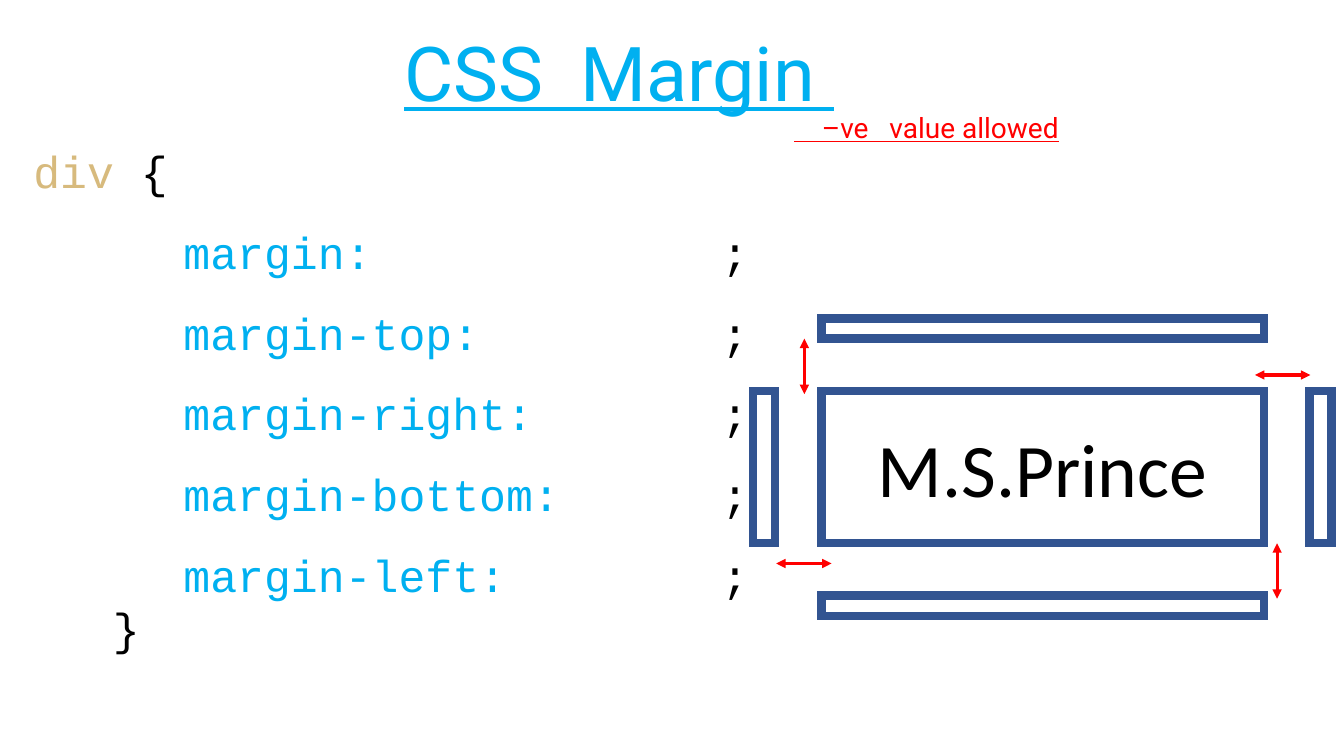
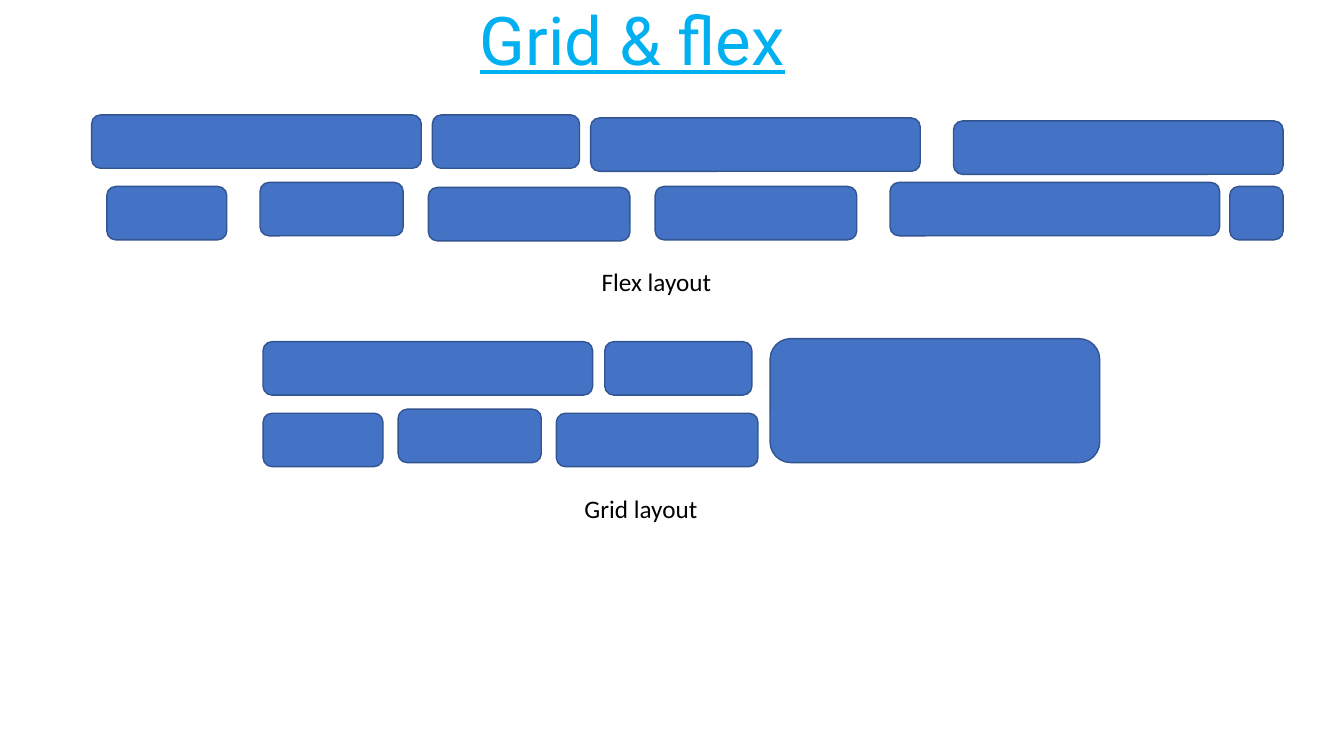
"""Build two slides about CSS margins and about grid and flex layouts."""
import typing

import lxml.etree
import pptx
import pptx.dml.color
import pptx.enum.shapes
import pptx.enum.text
import pptx.oxml.ns
import pptx.util

Inches = pptx.util.Inches
Shapes = pptx.enum.shapes.MSO_SHAPE
Align = pptx.enum.text.PP_ALIGN
Anchor = pptx.enum.text.MSO_ANCHOR

SKY, BLUE, NAVY, RED, BLACK, SAND = "00B0F0", "4472C4", "325491", "FF0000", "000000", "D7BA7D"
TITLE = {"name": "Roboto", "size": pptx.util.Pt(54), "underline": True}
SMALL_TITLE = {**TITLE, "size": pptx.util.Pt(48)}
NOTE = {**TITLE, "size": pptx.util.Pt(20)}
CODE = {"name": "Courier New", "size": pptx.util.Pt(32)}
NAME = {"name": "Calibri", "size": pptx.util.Pt(54)}
LABEL = {"name": "Calibri", "size": pptx.util.Pt(18)}
FRAME = {"word_wrap": True, "auto_size": pptx.enum.text.MSO_AUTO_SIZE.NONE,
         "vertical_anchor": Anchor.TOP}


class Area(typing.NamedTuple):
    """A rectangle on the slide, in inches."""
    left: float
    top: float
    width: float
    height: float = 0.53


class Arrow(typing.NamedTuple):
    """A double-headed arrow, in inches."""
    left: float
    top: float
    across: float = 0
    down: float = 0


class Span(typing.NamedTuple):
    """A stretch of text in one colour."""
    text: str
    color: str


class Line(typing.NamedTuple):
    """A line of code with its indent in inches."""
    spans: typing.List[Span]
    indent: float = 0
    spacing: float = 1


CONTENT = Area(8.15, 3.88, 4.39, 1.51)
SIDE, BAR = 0.22, 0.2
NEIGHBOURS = (
    CONTENT._replace(left=12.99, width=SIDE),
    CONTENT._replace(top=5.91, height=BAR),
    CONTENT._replace(top=3.16, height=BAR),
    CONTENT._replace(left=7.47, width=SIDE),
)
GAP = 0.55
ARROWS = (
    Arrow(7.98, 3.36, down=GAP),
    Arrow(7.7, 5.59, across=GAP),
    Arrow(12.45, 3.72, across=GAP),
    Arrow(12.67, 5.39, down=GAP),
)
CODE_AREA = Area(0.23, 1.38, 6.8, 5.22)
LINE_PITCH = 0.8
PROPERTIES = ("margin", "margin-top", "margin-right", "margin-bottom", "margin-left")
LONG, MEDIUM, SHORT = 3.27, 2, 1.46
FLEX = (
    Area(0.91, 1.14, LONG), Area(4.29, 1.14, SHORT),
    Area(5.86, 1.17, LONG), Area(9.46, 1.2, LONG),
    Area(1.06, 1.85, 1.19), Area(2.58, 1.81, 1.42), Area(4.25, 1.86, MEDIUM),
    Area(6.5, 1.85, MEDIUM), Area(8.83, 1.81, LONG), Area(12.2, 1.85, 0.53),
)
GRID = (
    Area(2.61, 3.39, LONG), Area(6, 3.39, SHORT), Area(7.64, 3.36, LONG, 1.23),
    Area(2.61, 4.1, 1.19), Area(3.95, 4.06, 1.42), Area(5.52, 4.1, MEDIUM),
)


def ink(color: str) -> pptx.dml.color.RGBColor:
    """Turn a hex string into a colour."""
    return pptx.dml.color.RGBColor.from_string(color)


def apply(target: typing.Any, values: dict) -> None:
    """Set every value of a format on an object."""
    for key, value in values.items():
        setattr(target, key, value)


def place(area: Area) -> list:
    """Give an area as four lengths."""
    return [Inches(value) for value in area]


def move(holder: typing.Any, area: Area) -> None:
    """Move a placeholder and format its frame."""
    apply(holder, dict(zip(("left", "top", "width", "height"), place(area))))
    apply(holder.text_frame, FRAME)


def add_xml(parent: typing.Any, tag: str, **attributes: str) -> None:
    """Append a drawing element to a parent."""
    lxml.etree.SubElement(parent, pptx.oxml.ns.qn(tag), attributes)


def find_outline(shape: typing.Any) -> typing.Any:
    """Find the outline element of a shape."""
    return shape.element.spPr.find(pptx.oxml.ns.qn("a:ln"))


def write(para: typing.Any, spans: typing.Iterable[Span], style: dict,
          align: typing.Any = Align.LEFT) -> None:
    """Write coloured spans into a paragraph."""
    apply(para, {"alignment": align, "space_before": pptx.util.Pt(0)})
    for span in spans:
        run = para.add_run()
        run.text = span.text
        apply(run.font, style)
        run.font.color.rgb = ink(span.color)


def set_indent(para: typing.Any, indent: float) -> None:
    """Remove the bullet and indent the whole paragraph."""
    properties = para._p.get_or_add_pPr()
    properties.set("marL", str(Inches(indent)))
    properties.set("indent", "0")
    add_xml(properties, "a:buNone")


def add_title(page: typing.Any, text: str, area: Area, style: dict) -> None:
    """Move and fill the title placeholder."""
    title = page.shapes.title
    move(title, area)
    write(title.text_frame.paragraphs[0], [Span(text, SKY)], style)


def add_text(page: typing.Any, span: Span, area: Area, style: dict) -> None:
    """Add a text box."""
    box = page.shapes.add_textbox(*place(area))
    apply(box.text_frame, FRAME)
    write(box.text_frame.paragraphs[0], [span], style)


def add_code(page: typing.Any) -> None:
    """Write the margin rule and its column of semicolons."""
    body = page.placeholders[1]
    move(body, CODE_AREA)
    frame = body.text_frame
    lines = [Line([Span("div ", SAND), Span("{", BLACK)])]
    lines += [Line([Span(f"{name}:", SKY)], 1.49, 1.5) for name in PROPERTIES]
    lines.append(Line([Span("}", BLACK)], 0.79))
    for index, line in enumerate(lines):
        para = frame.add_paragraph() if index else frame.paragraphs[0]
        write(para, line.spans, CODE)
        para.line_spacing = line.spacing
        set_indent(para, line.indent)
    for row in range(1, len(PROPERTIES) + 1):
        area = Area(7.06, CODE_AREA.top + row * LINE_PITCH, 0.5, 0.6)
        add_text(page, Span(";", BLACK), area, CODE)


def add_block(page: typing.Any, kind: typing.Any, area: Area, weight: float,
              fill: typing.Optional[str] = None) -> typing.Any:
    """Add an outlined shape, filled if a colour is given."""
    block = page.shapes.add_shape(kind, *place(area))
    block.shadow.inherit = False
    if fill:
        block.fill.solid()
        block.fill.fore_color.rgb = ink(fill)
    else:
        block.fill.background()
    block.line.color.rgb = ink(NAVY)
    block.line.width = pptx.util.Pt(weight)
    add_xml(find_outline(block), "a:miter", lim="800000")
    return block


def add_arrow(page: typing.Any, arrow: Arrow) -> None:
    """Add a red arrow with a head at both ends."""
    ends = (arrow.left, arrow.top, arrow.left + arrow.across, arrow.top + arrow.down)
    line = page.shapes.add_connector(
        pptx.enum.shapes.MSO_CONNECTOR.STRAIGHT, *map(Inches, ends))
    line.line.color.rgb = ink(RED)
    line.line.width = pptx.util.Pt(2.25)
    for tag in ("a:headEnd", "a:tailEnd"):
        add_xml(find_outline(line), tag, type="triangle")
    add_xml(line.element.spPr, "a:effectLst")


def build_margin(deck: typing.Any) -> None:
    """Build the slide on margins."""
    page = deck.slides.add_slide(deck.slide_layouts[1])
    add_title(page, "CSS  Margin ", Area(3.91, 0.21, 6.43, 1.01), TITLE)
    add_code(page)
    add_text(page, Span("    –ve   value allowed", RED), Area(7.78, 1.05, 5.5, 0.44), NOTE)
    content = add_block(page, Shapes.RECTANGLE, CONTENT, 6)
    content.text_frame.vertical_anchor = Anchor.MIDDLE
    write(content.text_frame.paragraphs[0], [Span("M.S.Prince", BLACK)], NAME, Align.CENTER)
    for area in NEIGHBOURS:
        add_block(page, Shapes.RECTANGLE, area, 6)
    for arrow in ARROWS:
        add_arrow(page, arrow)


def build_layouts(deck: typing.Any) -> None:
    """Build the slide on grid and flex."""
    page = deck.slides.add_slide(deck.slide_layouts[5])
    add_title(page, "Grid & flex", Area(4.66, -0.07, 4.84, 0.91), SMALL_TITLE)
    for area in FLEX + GRID:
        add_block(page, Shapes.ROUNDED_RECTANGLE, area, 1, BLUE)
    add_text(page, Span("Flex layout", BLACK), Area(5.87, 2.59, 3.01, 0.71), LABEL)
    add_text(page, Span("Grid layout", BLACK), Area(5.7, 4.84, 3.01, 0.4), LABEL)


def main() -> None:
    """Build and save the deck."""
    deck = pptx.Presentation()
    apply(deck, {"slide_width": Inches(40 / 3), "slide_height": Inches(7.5)})
    build_margin(deck)
    build_layouts(deck)
    deck.save("out.pptx")


if __name__ == "__main__":
    main()
